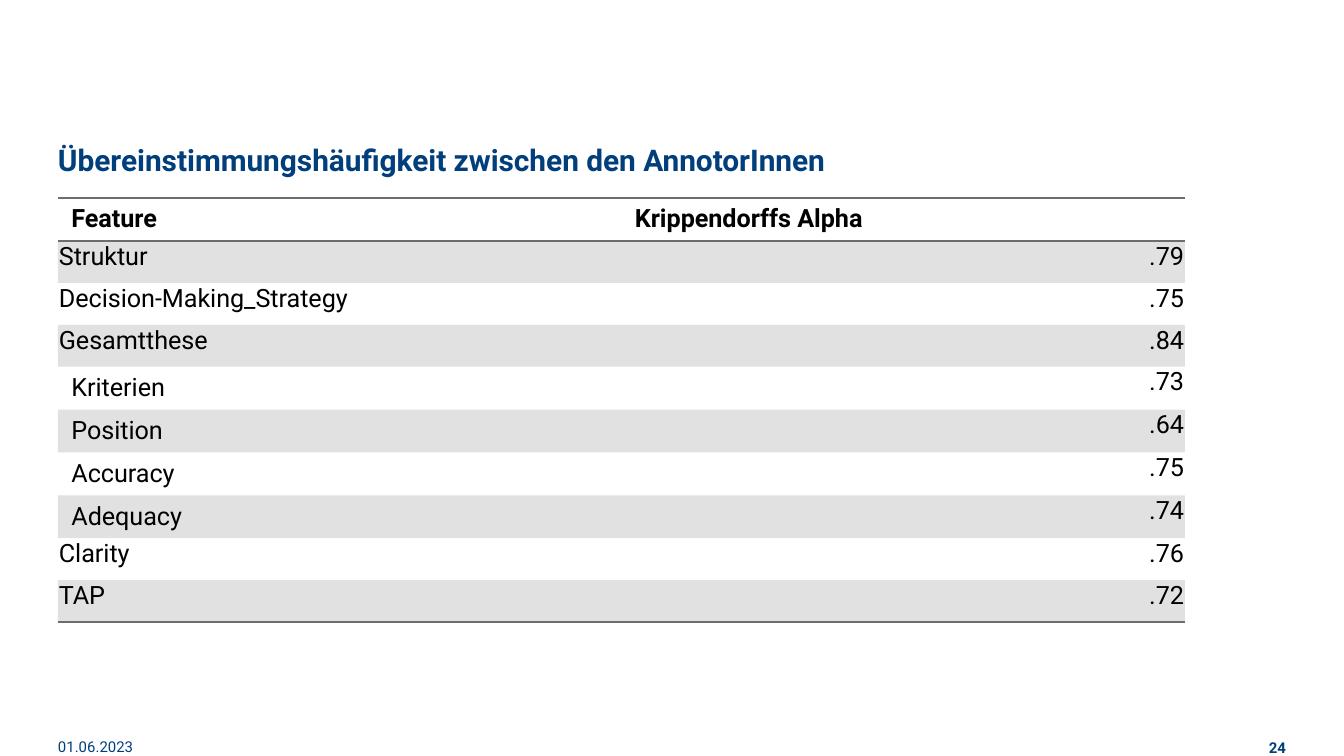
from pptx import Presentation
from pptx.dml.color import RGBColor
from pptx.enum.text import MSO_ANCHOR, MSO_AUTO_SIZE, PP_ALIGN
from pptx.oxml import parse_xml
from pptx.oxml.ns import nsdecls
from pptx.util import Emu, Pt

LEFT, RIGHT = PP_ALIGN.LEFT, PP_ALIGN.RIGHT
TOP, BOTTOM = MSO_ANCHOR.TOP, MSO_ANCHOR.BOTTOM
NO_FIT = MSO_AUTO_SIZE.NONE

FONT = "Roboto"
BLUE = RGBColor(0x00, 0x3E, 0x7C)
BLACK = RGBColor(0x00, 0x00, 0x00)
GRAY = RGBColor(0x6C, 0x6D, 0x6C)
PLAIN_STYLE = "{2D5ABB26-0587-4C30-8999-92F81FD0307C}"

HEADER = ("Feature", "Krippendorffs Alpha")
AGREEMENT = [
    ("Struktur", ".79"),
    ("Decision-Making_Strategy", ".75"),
    ("Gesamtthese", ".84"),
    ("Kriterien", ".73"),
    ("Position", ".64"),
    ("Accuracy", ".75"),
    ("Adequacy", ".74"),
    ("Clarity", ".76"),
    ("TAP", ".72"),
]
INDENTED = {"Kriterien", "Position", "Accuracy", "Adequacy"}


def px(n):
    """Turn pixels into EMU."""
    return Emu(round(n * 914400 / 134.4))


def format_text(tf, size, color, bold=False, align=LEFT):
    """Format every run of a text frame."""
    for p in tf.paragraphs:
        p.alignment = align
        for r in p.runs:
            r.font.name = FONT
            r.font.size = Pt(size)
            r.font.bold = bold
            r.font.color.rgb = color


def fill_frame(sp, text, size, anchor, bold=False, align=LEFT):
    """Put blue text without insets into a shape."""
    tf = sp.text_frame
    tf.text = text
    tf.word_wrap = True
    tf.auto_size = NO_FIT
    tf.vertical_anchor = anchor
    tf.margin_left = tf.margin_right = tf.margin_top = tf.margin_bottom = 0
    format_text(tf, size, BLUE, bold, align)


def add_title(s, text):
    """Place and format the slide title."""
    sp = s.shapes.title
    sp.left, sp.top, sp.width, sp.height = px(58), px(93), px(1228), px(85)
    fill_frame(sp, text, 16, BOTTOM, bold=True)
    sp.text_frame.paragraphs[0].line_spacing = Pt(36.7)


def add_footer(s, text, x, w, anchor, bold=False, align=LEFT):
    """Add a small text at the bottom edge of the slide."""
    sp = s.shapes.add_textbox(px(x), px(738), px(w), px(19))
    fill_frame(sp, text, 8, anchor, bold, align)


def add_border(cell, side):
    """Draw a thin gray line on the T or B side of a cell."""
    tcPr = cell._tc.get_or_add_tcPr()
    ln = parse_xml(
        f'<a:ln{side} {nsdecls("a")} w="12700"><a:solidFill>'
        f'<a:srgbClr val="{GRAY}"/></a:solidFill></a:ln{side}>'
    )
    tcPr.insert(0, ln)


def shade(cell):
    """Fill a cell with gray at 20 percent opacity."""
    cell.fill.solid()
    cell.fill.fore_color.rgb = GRAY
    clr = cell._tc.tcPr.xpath("./a:solidFill/a:srgbClr")[0]
    clr.append(parse_xml(f'<a:alpha {nsdecls("a")} val="20000"/>'))


def fill_cell(cell, text, row, col, last):
    """Write one table cell with its inset, shading and rules."""
    cell.text = text
    align = RIGHT if row and col else LEFT
    format_text(cell.text_frame, 13.5, BLACK, row == 0, align)
    if row and text not in INDENTED:
        cell.margin_left = cell.margin_right = cell.margin_top = px(1)
        cell.margin_bottom = 0
    if row % 2:
        shade(cell)
    else:
        cell.fill.background()
    if row in (0, last):
        add_border(cell, "B")
    if row == 0:
        add_border(cell, "T")


def add_agreement_table(s):
    """Add the table of features and their agreement."""
    rows = [HEADER, *AGREEMENT]
    row_h = 42
    frame = s.shapes.add_table(
        len(rows), len(HEADER), px(58), px(198), px(1127), px(row_h * len(rows))
    )
    table = frame.table
    table.first_row = table.horz_banding = False
    table._tbl.tblPr.xpath("./a:tableStyleId")[0].text = PLAIN_STYLE
    for i, values in enumerate(rows):
        table.rows[i].height = px(row_h)
        for j, text in enumerate(values):
            fill_cell(table.cell(i, j), text, i, j, len(rows) - 1)


def main():
    """Build the slide and save it."""
    prs = Presentation()
    prs.slide_width, prs.slide_height = px(1344), px(756)
    s = prs.slides.add_slide(prs.slide_layouts[5])
    add_title(s, "Übereinstimmungshäufigkeit zwischen den AnnotorInnen")
    add_agreement_table(s)
    add_footer(s, "01.06.2023", 58, 95, TOP)
    add_footer(s, "24", 1212, 74, BOTTOM, bold=True, align=RIGHT)
    prs.save("out.pptx")


if __name__ == "__main__":
    main()
